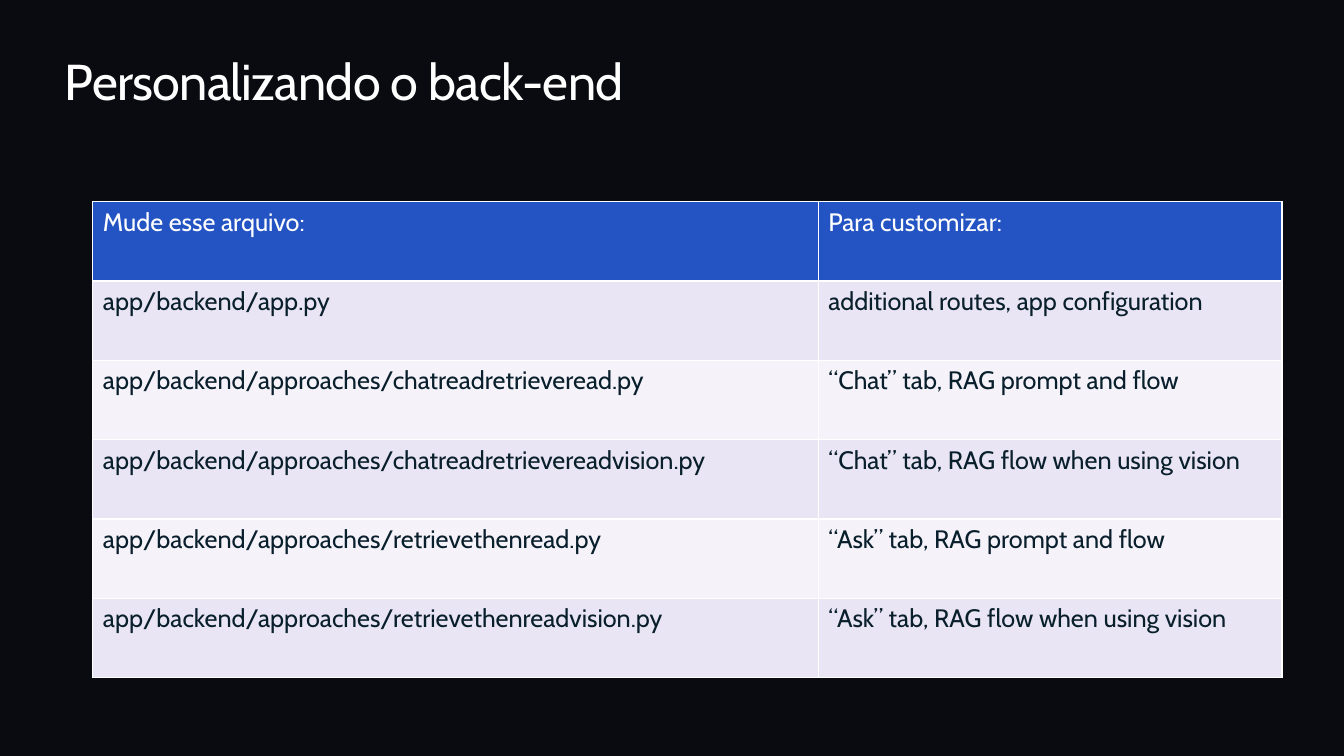
import pptx
import pptx.dml.color
import pptx.enum.text
import pptx.oxml
import pptx.oxml.ns
import pptx.util

Cm = pptx.util.Cm
Pt = pptx.util.Pt

FONT = "Cabin"
COLORS = {
    "background": "0A0B10",
    "white": "FFFFFF",
    "header": "2454C3",
    "text": "091F2C",
    "odd_row": "EAE5F4",
    "even_row": "F5F2FA",
}
ROWS = [
    ("Mude esse arquivo:", "Para customizar:"),
    ("app/backend/app.py", "additional routes, app configuration"),
    ("app/backend/approaches/chatreadretrieveread.py", "“Chat” tab, RAG prompt and flow"),
    ("app/backend/approaches/chatreadretrievereadvision.py", "“Chat” tab, RAG flow when using vision"),
    ("app/backend/approaches/retrievethenread.py", "“Ask” tab, RAG prompt and flow"),
    ("app/backend/approaches/retrievethenreadvision.py", "“Ask” tab, RAG flow when using vision"),
]
FIRST_COLUMN_SHARE = 0.61


def rgb(name):
    return pptx.dml.color.RGBColor.from_string(COLORS[name])


def format_runs(paragraph, size, color):
    for run in paragraph.runs:
        run.font.name = FONT
        run.font.size = Pt(size)
        run.font.bold = False
        run.font.color.rgb = rgb(color)


def add_title(slide, text, left, top, width, height):
    title = slide.shapes.title
    title.left, title.top, title.width, title.height = left, top, width, height
    frame = title.text_frame
    frame.text = text
    frame.word_wrap = True
    frame.auto_size = pptx.enum.text.MSO_AUTO_SIZE.NONE
    frame.vertical_anchor = pptx.enum.text.MSO_ANCHOR.TOP
    frame.margin_left = frame.margin_right = frame.margin_top = frame.margin_bottom = 0
    paragraph = frame.paragraphs[0]
    paragraph.alignment = pptx.enum.text.PP_ALIGN.LEFT
    format_runs(paragraph, 36, "white")
    for run in paragraph.runs:
        run.font._element.set("spc", "-50")


def set_borders(cell, color, width):
    properties = cell._tc.get_or_add_tcPr()
    for position, side in enumerate(("lnL", "lnR", "lnT", "lnB")):
        line = pptx.oxml.parse_xml(
            f'<a:{side} {pptx.oxml.ns.nsdecls("a")} w="{width}"><a:solidFill>'
            f'<a:srgbClr val="{COLORS[color]}"/></a:solidFill></a:{side}>'
        )
        properties.insert(position, line)


def add_file_table(slide, rows, left, top, width, height):
    frame = slide.shapes.add_table(len(rows), len(rows[0]), left, top, width, height)
    table = frame.table
    table.columns[0].width = int(width * FIRST_COLUMN_SHARE)
    table.columns[1].width = width - table.columns[0].width
    for row_index, row in enumerate(rows):
        if row_index == 0:
            fill, color = "header", "white"
        else:
            fill, color = ("odd_row" if row_index % 2 else "even_row"), "text"
        for column_index, text in enumerate(row):
            cell = table.cell(row_index, column_index)
            cell.text_frame.text = text
            format_runs(cell.text_frame.paragraphs[0], 18, color)
            cell.fill.solid()
            cell.fill.fore_color.rgb = rgb(fill)
            set_borders(cell, "white", Pt(1))


def main():
    presentation = pptx.Presentation()
    presentation.slide_width = Cm(33.87)
    presentation.slide_height = Cm(19.05)
    slide = presentation.slides.add_slide(presentation.slide_layouts.get_by_name("Title Only"))
    slide.background.fill.solid()
    slide.background.fill.fore_color.rgb = rgb("background")
    add_title(slide, "Personalizando o back-end", Cm(1.63), Cm(1.27), Cm(30.6), Cm(1.55))
    add_file_table(slide, ROWS, Cm(2.34), Cm(5.08), Cm(29.97), Cm(12))
    presentation.save("out.pptx")


if __name__ == "__main__":
    main()
